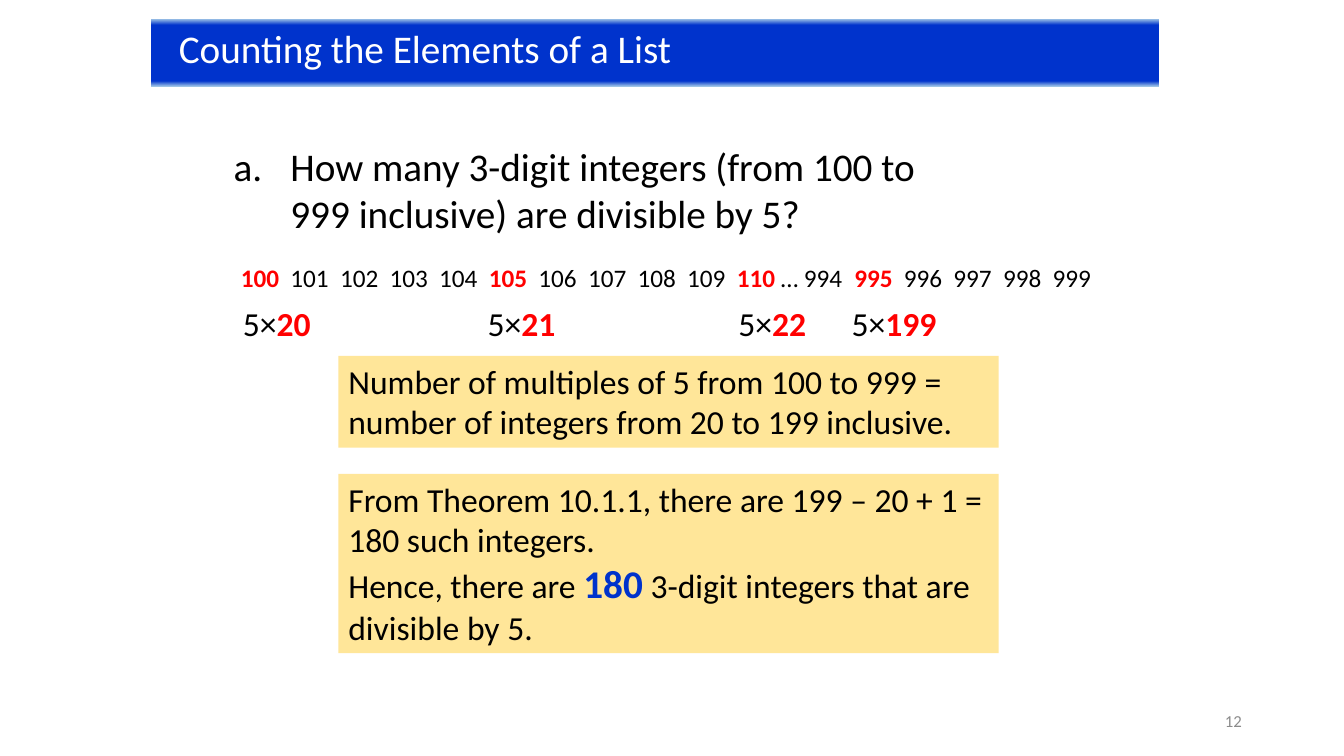
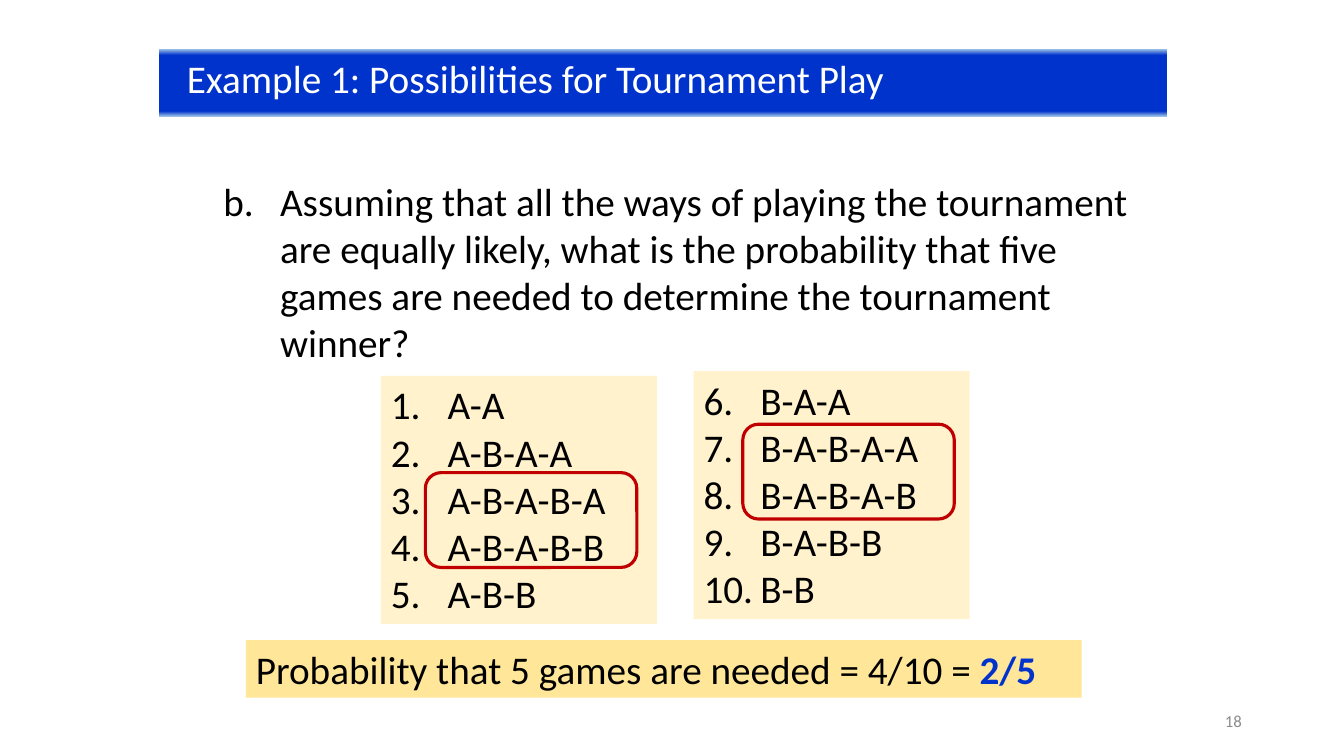
from lxml import etree
from pptx import Presentation
from pptx.dml.color import RGBColor
from pptx.enum import shapes, text
from pptx.oxml.ns import qn
from pptx.util import Cm, Pt

FONT = "Calibri"
BLACK = RGBColor(0x00, 0x00, 0x00)
WHITE = RGBColor(0xFF, 0xFF, 0xFF)
GREY = RGBColor(0x8C, 0x8C, 0x8C)
RED = RGBColor(0xFF, 0x00, 0x00)
DARK_RED = RGBColor(0xC0, 0x00, 0x00)
BLUE = RGBColor(0x00, 0x33, 0xCC)
PALE_BLUE = RGBColor(0x9D, 0xC3, 0xE6)
GOLD = RGBColor(0xFF, 0xE6, 0x99)
CREAM = RGBColor(0xFF, 0xF2, 0xCC)

BAND_STOPS = [(0, PALE_BLUE), (9, BLUE), (92, BLUE), (100, PALE_BLUE)]
LIST_INDENT = 1.43

# Content: boxes are (left, top, width, height) in cm; paragraphs are lists of
# runs, and a run is a plain string or (text, colour of the bold text[, size])
COUNTING = {
    "title": "Counting the Elements of a List",
    "band": (3.81, 0.48),
    "page": "12",
    "question": "How many 3-digit integers (from 100 to 999 inclusive) "
                "are divisible by 5?",
    "question_box": (5.64, 3.45, 18.8, 2.95),
    "letter": 1,
}
SEQUENCE = [("100", RED), "\t101\t102\t103\t104\t", ("105", RED),
            "\t106\t107\t108\t109\t", ("110", RED), " … 994\t",
            ("995", RED), "\t996\t997\t998\t999"]
SEQUENCE_BOX = (5.82, 6.48, 22.07, 1.02)
PITCH = 1.25
AFTER_GAP = 14.21  # where 994 starts
FACTORS = [("20", 5.87), ("21", 12.04), ("22", 18.36), ("199", 21.21)]
CONCLUSIONS = [
    ((8.53, 8.97, 16.64, 2.31),
     [["Number of multiples of 5 from 100 to 999 = number of integers "
       "from 20 to 199 inclusive."]]),
    ((8.53, 11.94, 16.64, 4.52),
     [["From Theorem 10.1.1, there are 199 – 20 + 1 = 180 such integers."],
      ["Hence, there are ", ("180", BLUE, 28),
       " 3-digit integers that are divisible by 5."]]),
]

TOURNAMENT = {
    "title": "Example 1: Possibilities for Tournament Play",
    "band": (4.01, 1.24),
    "page": "18",
    "question": "Assuming that all the ways of playing the tournament are "
                "equally likely, what is the probability that five games are "
                "needed to determine the tournament winner?",
    "question_box": (5.38, 4.34, 23.57, 4.9),
    "letter": 2,
}
# First number, outcomes, list corner, corner of the ring round five-game outcomes
OUTCOMES = [
    (1, ["A-A", "A-B-A-A", "A-B-A-B-A", "A-B-A-B-B", "A-B-B"],
     (9.6, 9.47), (10.72, 11.91)),
    (6, ["B-A-A", "B-A-B-A-A", "B-A-B-A-B", "B-A-B-B", "B-B"],
     (17.48, 9.35), (18.72, 10.69)),
]
PROBABILITY = ["Probability that 5 games are needed = 4/10 = ", ("2/5", BLUE)]


def cm(box):
    return [Cm(value) for value in box]


def add_numbering(paragraph, scheme, start):
    props = paragraph._p.get_or_add_pPr()
    props.set("marL", str(Cm(LIST_INDENT)))
    props.set("indent", str(-Cm(LIST_INDENT)))
    etree.SubElement(props, qn("a:buFont"), typeface="+mj-lt")
    etree.SubElement(props, qn("a:buAutoNum"), type=scheme, startAt=str(start))


def add_tabs(paragraph, stops):
    tabs = etree.SubElement(paragraph._p.get_or_add_pPr(), qn("a:tabLst"))
    for stop in stops:
        etree.SubElement(tabs, qn("a:tab"), pos=str(Cm(stop)), algn="l")


def write(shape, paragraphs, size, colour=BLACK, numbering=None, tabs=(),
          align=text.PP_ALIGN.LEFT, anchor=text.MSO_ANCHOR.TOP):
    frame = shape.text_frame
    frame.word_wrap = True
    frame.vertical_anchor = anchor
    for index, runs in enumerate(paragraphs):
        paragraph = frame.paragraphs[0] if index == 0 else frame.add_paragraph()
        if numbering:
            add_numbering(paragraph, *numbering)
        if tabs:
            add_tabs(paragraph, tabs)
        paragraph.alignment = align
        for item in runs:
            words, accent, points = (
                (item, None, size) if isinstance(item, str)
                else (*item, size)[:3])
            run = paragraph.add_run()
            run.text = words
            run.font.name = FONT
            run.font.size = Pt(points)
            run.font.bold = accent is not None
            run.font.color.rgb = accent or colour


def add_text(slide, box, paragraphs, size, **style):
    write(slide.shapes.add_textbox(*cm(box)), paragraphs, size, **style)


def add_panel(slide, box, fill=None, kind=shapes.MSO_SHAPE.RECTANGLE):
    panel = slide.shapes.add_shape(kind, *cm(box))
    panel.shadow.inherit = False
    panel.line.fill.background()
    if fill is None:
        panel.fill.background()
    else:
        panel.fill.solid()
        panel.fill.fore_color.rgb = fill
    return panel


def add_band(slide, corner, title):
    band = add_panel(slide, (*corner, 25.4, 1.7))
    band.fill.gradient()
    band.fill.gradient_angle = 270
    stops = band._element.spPr.find(qn("a:gradFill")).find(qn("a:gsLst"))
    for stop in list(stops):
        stops.remove(stop)
    for percent, colour in BAND_STOPS:
        stop = etree.SubElement(stops, qn("a:gs"), pos=str(percent * 1000))
        etree.SubElement(stop, qn("a:srgbClr"), val=str(colour))
    band.text_frame.margin_left = Cm(0.7)
    write(band, [[title]], 28, WHITE)


def add_base(deck, content):
    """Slide with the shared band, question and page number."""
    slide = deck.slides.add_slide(deck.slide_layouts[6])
    add_band(slide, content["band"], content["title"])
    add_text(slide, content["question_box"], [[content["question"]]], 28,
             numbering=("alphaLcPeriod", content["letter"]))
    add_text(slide, (23.93, 17.65, 7.62, 1.02), [[content["page"]]], 12,
             colour=GREY, align=text.PP_ALIGN.RIGHT,
             anchor=text.MSO_ANCHOR.MIDDLE)
    return slide


def build_counting(deck):
    slide = add_base(deck, COUNTING)
    # Number sequence with its multiples of 5
    stops = [PITCH * i for i in range(1, 11)]
    stops += [AFTER_GAP + PITCH * i for i in range(1, 6)]
    add_text(slide, SEQUENCE_BOX, [SEQUENCE], 18, tabs=stops)
    for factor, left in FACTORS:
        add_text(slide, (left, 7.52, 2.77, 1.27), [["5×", (factor, RED)]], 24)
    # Conclusions
    for box, paragraphs in CONCLUSIONS:
        write(add_panel(slide, box, GOLD), paragraphs, 24)


def build_tournament(deck):
    slide = add_base(deck, TOURNAMENT)
    # Outcome lists, five-game outcomes ringed
    for start, outcomes, list_corner, ring_corner in OUTCOMES:
        write(add_panel(slide, (*list_corner, 6.96, 6.25), CREAM),
              [[outcome] for outcome in outcomes], 28,
              numbering=("arabicPeriod", start))
        ring = add_panel(slide, (*ring_corner, 5.33, 2.39),
                         kind=shapes.MSO_SHAPE.ROUNDED_RECTANGLE)
        ring.line.color.rgb = DARK_RED
        ring.line.width = Pt(2.25)
    # Answer
    write(add_panel(slide, (6.2, 16.13, 21.06, 1.45), GOLD), [PROBABILITY], 28)


def main():
    deck = Presentation()
    deck.slide_width, deck.slide_height = Cm(33.87), Cm(19.05)
    build_counting(deck)
    build_tournament(deck)
    deck.save("out.pptx")


if __name__ == "__main__":
    main()
